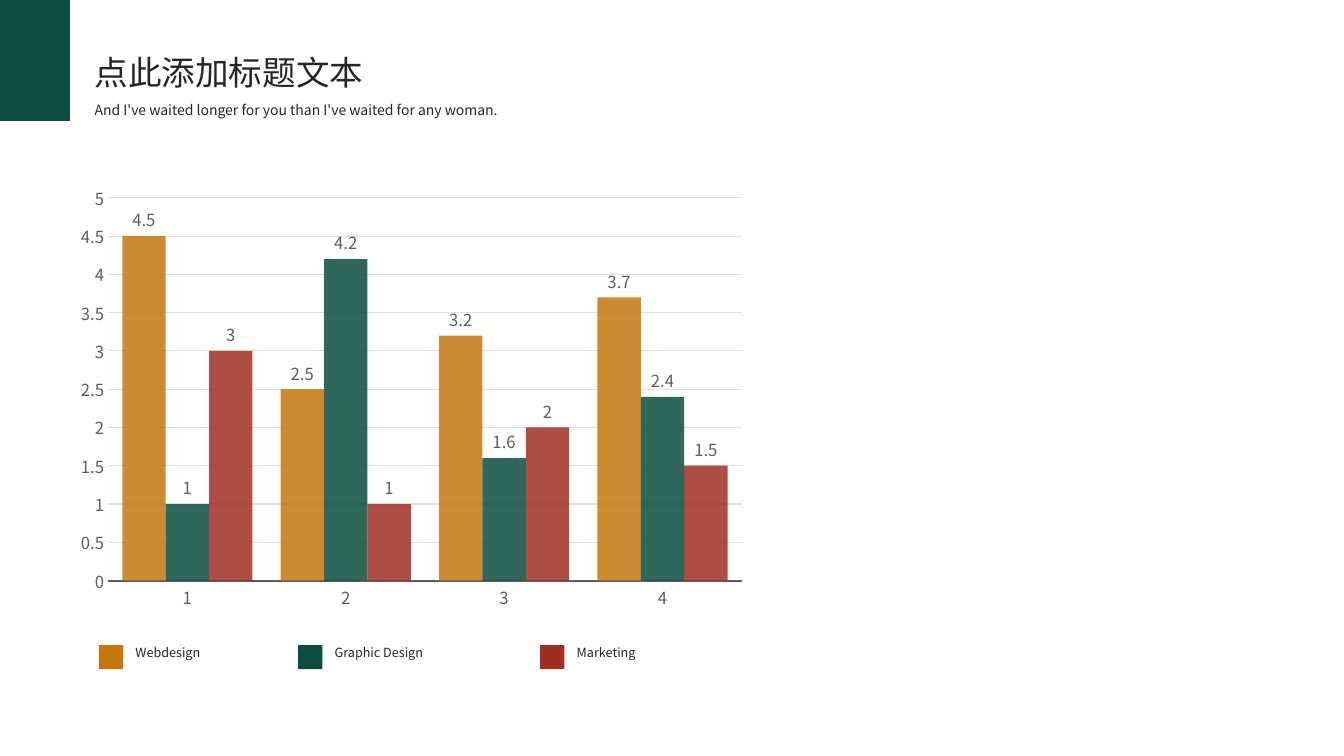
"""Build a slide with a heading, a clustered column chart and its legend."""

from dataclasses import dataclass

import lxml.etree
import pptx
import pptx.chart.chart
import pptx.chart.data
import pptx.dml.color
import pptx.enum.chart
import pptx.enum.shapes
import pptx.enum.text
import pptx.oxml
import pptx.oxml.ns
import pptx.slide
import pptx.text.text
import pptx.util

Pt = pptx.util.Pt
Color = pptx.dml.color.RGBColor
qn = pptx.oxml.ns.qn


@dataclass(frozen=True)
class Theme:
    font: str = "Noto Sans CJK SC"
    ink: Color = Color(0x26, 0x26, 0x26)
    axis: Color = Color(0x5C, 0x5C, 0x5C)
    grid: Color = Color(0xDE, 0xDE, 0xDE)
    ochre: Color = Color(0xC5, 0x77, 0x0D)
    green: Color = Color(0x0B, 0x4D, 0x40)
    red: Color = Color(0x9F, 0x2E, 0x23)
    title_size: float = 24
    subtitle_size: float = 10
    legend_size: float = 9
    chart_size: float = 11.9
    bar_opacity: int = 85


@dataclass(frozen=True)
class Box:
    left: float
    top: float
    width: float
    height: float

    def lengths(self) -> list[pptx.util.Length]:
        return [Pt(value) for value in (self.left, self.top, self.width, self.height)]


@dataclass(frozen=True)
class Heading:
    text: str
    box: Box
    size: float
    line_spacing: float


@dataclass(frozen=True)
class Service:
    label: str
    series: str
    values: tuple[float, ...]
    color: Color
    left: float
    label_width: float


THEME = Theme()
CATEGORIES = ("1", "2", "3", "4")
CHART_BOX = Box(45.36, 124.56, 580.32, 328.32)
PLOT_LAYOUT = {"x": 0.055, "y": 0.051, "w": 0.78, "h": 0.833}
ACCENT_BOX = Box(0, -1.44, 50, 87.84)
LEGEND_TOP = 460.8
SWATCH_SIDE = 17.28
LABEL_OFFSET = 19
HEADINGS = (
    Heading("点此添加标题文本", Box(60.48, 28.08, 234, 38.88), THEME.title_size, 1.2),
    Heading(
        "And I've waited longer for you than I've waited for any woman.",
        Box(60.48, 64.08, 335.52, 23.04), THEME.subtitle_size, 1.4,
    ),
)
SERVICES = (
    Service("Webdesign", "Series 1", (4.5, 2.5, 3.2, 3.7), THEME.ochre, 70.7, 63.36),
    Service("Graphic Design", "Series 2", (1, 4.2, 1.6, 2.4), THEME.green, 213, 78.48),
    Service("Marketing", "Series 3", (3, 1, 2, 1.5), THEME.red, 385.9, 57.6),
)


def style_font(font: pptx.text.text.Font, size: float, color: Color) -> None:
    font.name = THEME.font
    font.size = Pt(size)
    font.color.rgb = color


def add_text(
    slide: pptx.slide.Slide, text: str, box: Box, size: float, wrap: bool
) -> pptx.text.text._Paragraph:
    frame = slide.shapes.add_textbox(*box.lengths()).text_frame
    frame.word_wrap = wrap
    frame.auto_size = pptx.enum.text.MSO_AUTO_SIZE.SHAPE_TO_FIT_TEXT
    paragraph = frame.paragraphs[0]
    paragraph.text = text
    style_font(paragraph.font, size, THEME.ink)
    properties = paragraph._p.find(".//" + qn("a:defRPr"))
    lxml.etree.SubElement(properties, qn("a:ea"), typeface=THEME.font)
    return paragraph


def add_heading(slide: pptx.slide.Slide, heading: Heading) -> None:
    paragraph = add_text(slide, heading.text, heading.box, heading.size, True)
    paragraph.alignment = pptx.enum.text.PP_ALIGN.JUSTIFY
    paragraph.line_spacing = heading.line_spacing


def add_block(slide: pptx.slide.Slide, box: Box, color: Color) -> None:
    shape = slide.shapes.add_shape(
        pptx.enum.shapes.MSO_SHAPE.RECTANGLE, *box.lengths()
    )
    shape.shadow.inherit = False
    shape.fill.solid()
    shape.fill.fore_color.rgb = color
    shape.line.fill.background()


def add_legend_entry(slide: pptx.slide.Slide, service: Service) -> None:
    label_box = Box(service.left + LABEL_OFFSET, LEGEND_TOP - 3.6, service.label_width, 18)
    add_text(slide, service.label, label_box, THEME.legend_size, False)
    swatch_box = Box(service.left, LEGEND_TOP, SWATCH_SIDE, SWATCH_SIDE)
    add_block(slide, swatch_box, service.color)


def place_plot(chart: pptx.chart.chart.Chart) -> None:
    plot_area = chart._chartSpace.find(".//" + qn("c:plotArea"))
    for old_layout in plot_area.findall(qn("c:layout")):
        plot_area.remove(old_layout)
    layout = pptx.oxml.parse_xml(f'<c:layout {pptx.oxml.ns.nsdecls("c")}/>')
    plot_area.insert(0, layout)
    manual = lxml.etree.SubElement(layout, qn("c:manualLayout"))
    settings = {"layoutTarget": "inner", "xMode": "edge", "yMode": "edge", **PLOT_LAYOUT}
    for name, value in settings.items():
        lxml.etree.SubElement(manual, qn(f"c:{name}"), val=str(value))


def style_axes(chart: pptx.chart.chart.Chart) -> None:
    for axis in (chart.category_axis, chart.value_axis):
        axis.major_tick_mark = pptx.enum.chart.XL_TICK_MARK.NONE
        axis.minor_tick_mark = pptx.enum.chart.XL_TICK_MARK.NONE
        style_font(axis.tick_labels.font, THEME.chart_size, THEME.axis)
    category_line = chart.category_axis.format.line
    category_line.color.rgb = THEME.axis
    category_line.width = Pt(1.5)
    value_axis = chart.value_axis
    value_axis.minimum_scale, value_axis.maximum_scale = 0, 5
    value_axis.major_unit = 0.5
    value_axis.format.line.fill.background()
    value_axis.has_major_gridlines = True
    grid_line = value_axis.major_gridlines.format.line
    grid_line.color.rgb = THEME.grid
    grid_line.width = Pt(0.75)


def add_service_chart(slide: pptx.slide.Slide) -> None:
    data = pptx.chart.data.CategoryChartData()
    data.categories = CATEGORIES
    for service in SERVICES:
        data.add_series(service.series, service.values)
    chart = slide.shapes.add_chart(
        pptx.enum.chart.XL_CHART_TYPE.COLUMN_CLUSTERED, *CHART_BOX.lengths(), data
    ).chart
    chart.has_title = False
    chart.has_legend = False
    style_font(chart.font, THEME.subtitle_size, THEME.ink)
    style_axes(chart)
    place_plot(chart)
    plot = chart.plots[0]
    plot.vary_by_categories = False
    plot.gap_width = 65
    plot.overlap = 0
    for series, service in zip(plot.series, SERVICES):
        fill = series.format.fill
        fill.solid()
        fill.fore_color.rgb = service.color
        color = series._element.find(f"{qn('c:spPr')}/{qn('a:solidFill')}/{qn('a:srgbClr')}")
        lxml.etree.SubElement(color, qn("a:alpha"), val=str(THEME.bar_opacity * 1000))
        labels = series.data_labels
        labels.show_value = True
        labels.position = pptx.enum.chart.XL_LABEL_POSITION.OUTSIDE_END
        style_font(labels.font, THEME.chart_size, THEME.axis)


def main() -> None:
    presentation = pptx.Presentation()
    presentation.slide_width, presentation.slide_height = Pt(960), Pt(540)
    slide = presentation.slides.add_slide(presentation.slide_layouts[6])
    add_service_chart(slide)
    for service in SERVICES:
        add_legend_entry(slide, service)
    add_block(slide, ACCENT_BOX, THEME.green)
    for heading in HEADINGS:
        add_heading(slide, heading)
    presentation.save("out.pptx")


if __name__ == "__main__":
    main()
